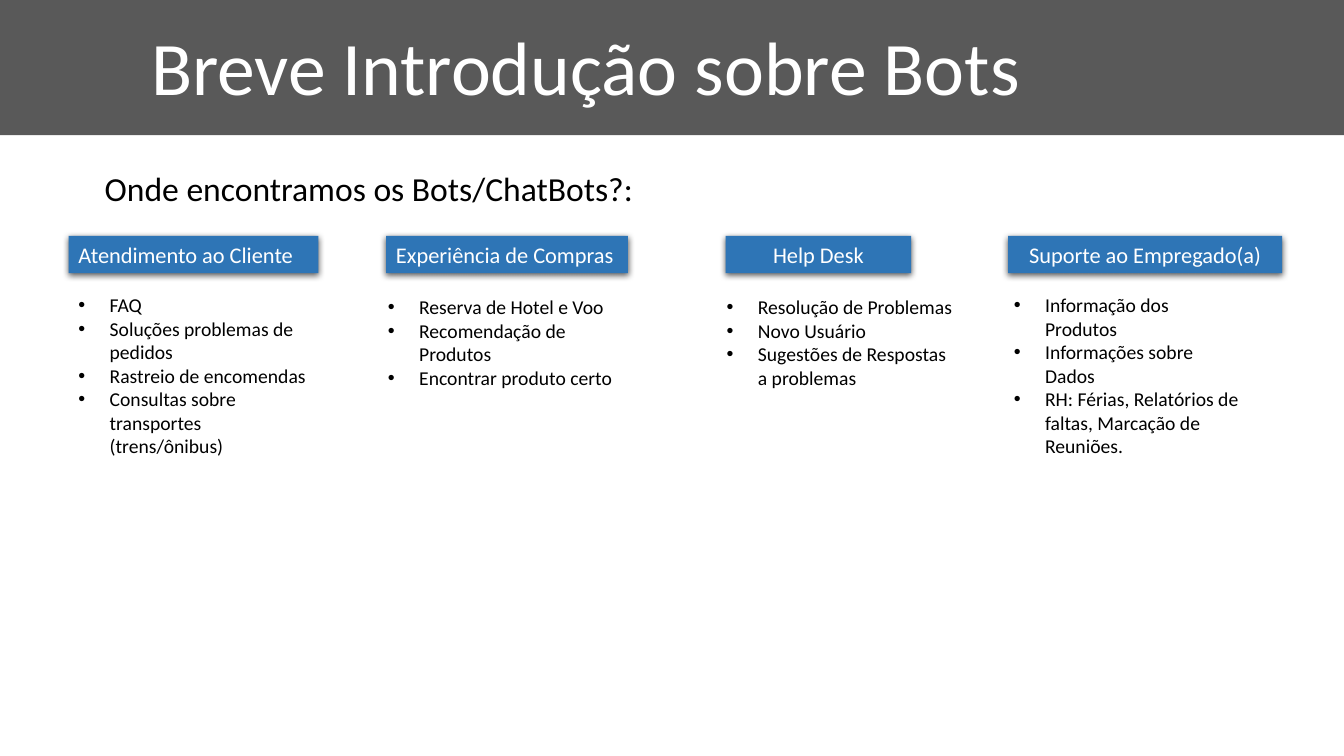
from lxml import etree
from pptx import Presentation
from pptx import util as u
from pptx.dml import color
from pptx.enum import shapes, text
from pptx.oxml import ns

COLORS = {"band": "595959", "label": "2E75B6", "light": "FFFFFF", "dark": "000000"}
LEFT, CENTER = text.PP_ALIGN.LEFT, text.PP_ALIGN.CENTER
LABEL_TOP, LABEL_HEIGHT, LIST_WIDTH = 31.2, 4.93, 18.6

TOPICS = [
    ("Atendimento ao Cliente", LEFT, (5.1, 18.6), (5.1, 38.13, 27.33),
     ["FAQ", "Soluções problemas de pedidos", "Rastreio de encomendas",
      "Consultas sobre transportes (trens/ônibus)"]),
    ("Experiência de Compras", LEFT, (28.73, 18), (28.13, 38.4, 21.07),
     ["Reserva de Hotel e Voo", "Recomendação de Produtos", "Encontrar produto certo"]),
    ("Help Desk", CENTER, (54, 13.8), (53.33, 38.4, 18),
     ["Resolução de Problemas", "Novo Usuário", "Sugestões de Respostas a problemas"]),
    ("Suporte ao Empregado(a)", CENTER, (75, 20.4), (74.7, 38.13, 27.33),
     ["Informação dos Produtos", "Informações sobre Dados",
      "RH: Férias, Relatórios de faltas, Marcação de Reuniões."]),
]


class Deck:
    """Draws styled elements on one slide, placed in percent of its size."""

    def __init__(self, font="Calibri"):
        self.font = font
        self.prs = Presentation()
        self.prs.slide_width, self.prs.slide_height = u.Inches(13.33), u.Inches(7.5)
        self.s = self.prs.slides.add_slide(self.prs.slide_layouts[6])

    def place(self, x, y, w, h):
        width, height = self.prs.slide_width, self.prs.slide_height
        return [int(share * side / 100)
                for share, side in zip((x, y, w, h), (width, height, width, height))]

    def add_text(self, p, words, size, ink, align=LEFT):
        p.alignment = align
        r = p.add_run()
        r.text = words
        r.font.name, r.font.size = self.font, u.Pt(size)
        r.font.color.rgb = color.RGBColor.from_string(COLORS[ink])

    def rect(self, box, fill):
        sp = self.s.shapes.add_shape(shapes.MSO_SHAPE.RECTANGLE, *self.place(*box))
        sp.shadow.inherit = False
        sp.fill.solid()
        sp.fill.fore_color.rgb = color.RGBColor.from_string(COLORS[fill])
        sp.line.fill.background()
        return sp

    def label(self, box, words, align):
        sp = self.rect(box, "label")
        effects = sp._element.spPr.find(ns.qn("a:effectLst"))
        shadow = etree.SubElement(
            effects, ns.qn("a:outerShdw"), blurRad=str(u.Pt(4.5)), dist=str(u.Pt(1.5)),
            dir="5400000", algn="ctr", rotWithShape="0")
        tint = etree.SubElement(shadow, ns.qn("a:srgbClr"), val=COLORS["dark"])
        etree.SubElement(tint, ns.qn("a:alpha"), val="63000")
        self.add_text(sp.text_frame.paragraphs[0], words, 16, "light", align)

    def textbox(self, box):
        tf = self.s.shapes.add_textbox(*self.place(*box)).text_frame
        tf.word_wrap = True
        tf.auto_size = text.MSO_AUTO_SIZE.SHAPE_TO_FIT_TEXT
        return tf

    def heading(self, box, words, size, ink):
        self.add_text(self.textbox(box).paragraphs[0], words, size, ink)

    def bullets(self, box, items):
        tf = self.textbox(box)
        for i, item in enumerate(items):
            p = tf.add_paragraph() if i else tf.paragraphs[0]
            pPr = p._p.get_or_add_pPr()
            pPr.set("marL", str(u.Inches(0.31)))
            pPr.set("indent", str(-u.Inches(0.31)))
            etree.SubElement(pPr, ns.qn("a:buFont"), typeface="Arial")
            etree.SubElement(pPr, ns.qn("a:buChar"), char="•")
            self.add_text(p, item, 14, "dark")


def main():
    deck = Deck()
    deck.rect((0, 0, 100, 17.87), "band")
    deck.heading((10.5, 2, 80.63, 13.47), "Breve Introdução sobre Bots", 54, "light")
    deck.heading((7.05, 21.6, 80, 6.1), "Onde encontramos os Bots/ChatBots?:", 24, "dark")
    for name, align, (x, width), (list_x, list_y, list_height), items in TOPICS:
        deck.label((x, LABEL_TOP, width, LABEL_HEIGHT), name, align)
        deck.bullets((list_x, list_y, LIST_WIDTH, list_height), items)
    deck.prs.save("out.pptx")


if __name__ == "__main__":
    main()
